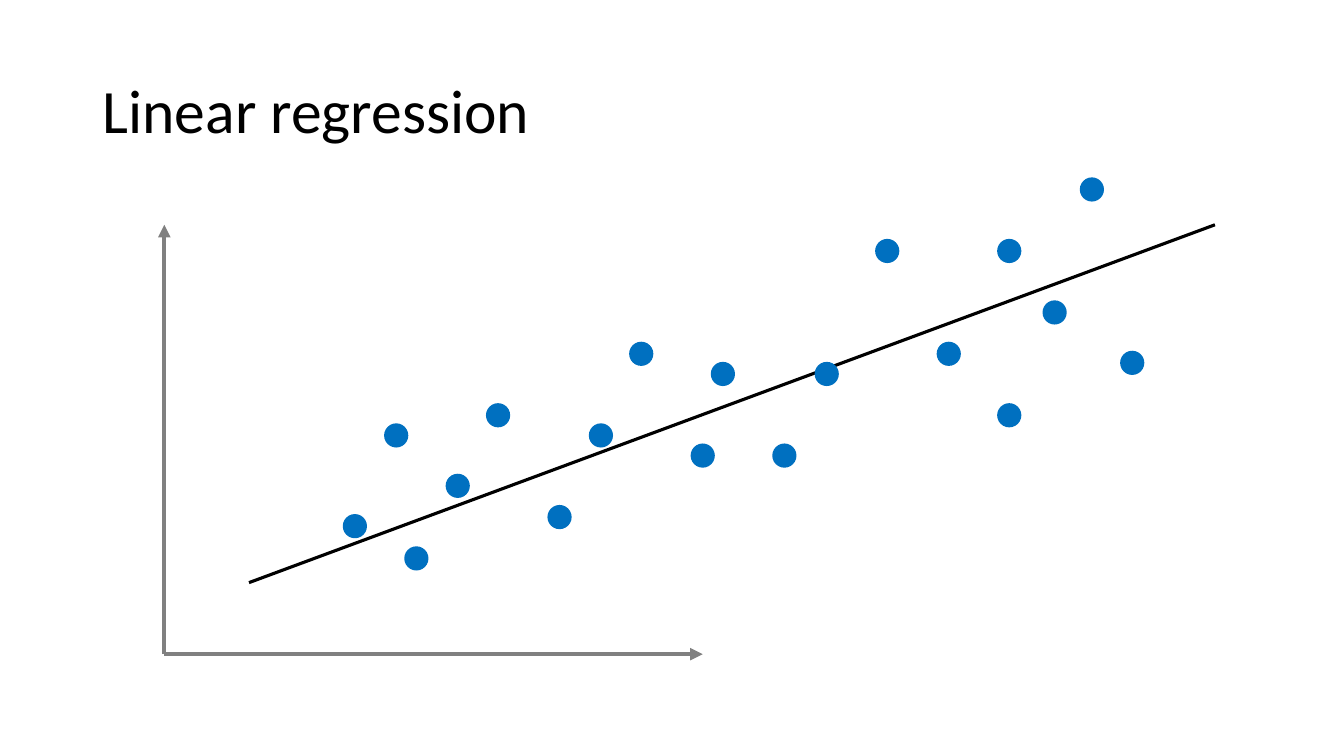
from lxml import etree
from pptx import Presentation
from pptx import util as u
from pptx.dml.color import RGBColor
from pptx.enum import shapes, text
from pptx.oxml.ns import qn

TITLE = "Linear regression"
TITLE_BOX = (0.92, 0.4, 11.5, 1.45)
FIT_LINE = ((2.47, 5.78), (12.05, 2.23))
ORIGIN = (1.63, 6.49)
AXIS_ENDS = [(6.97, 6.49), (1.63, 2.23)]
DOT_SIZE = 0.24
DOTS = [
    (3.4, 5.1), (3.81, 4.2), (8.08, 3.59), (9.89, 2.37), (4.82, 4),
    (9.29, 3.39), (9.89, 4), (10.34, 2.98), (8.68, 2.37), (6.85, 4.4),
    (7.05, 3.59), (6.24, 3.39), (4.01, 5.42), (4.42, 4.7), (5.43, 5.01),
    (7.66, 4.4), (11.11, 3.48), (5.84, 4.2), (10.71, 1.76),
]
BLACK, BLUE, GREY = "000000", "0070C0", "808080"


def color(value):
    return RGBColor.from_string(value)


def add_text(parent, content, box, size=18, font="Calibri", fill=BLACK, spacing=1.0):
    sp = parent.add_textbox(*map(u.Inches, box))
    tf = sp.text_frame
    tf.word_wrap = True
    tf.vertical_anchor = text.MSO_ANCHOR.MIDDLE
    p = tf.paragraphs[0]
    p.line_spacing = spacing
    r = p.add_run()
    r.text = content
    r.font.size = u.Pt(size)
    r.font.name = font
    r.font.color.rgb = color(fill)
    return sp


def add_line(parent, start, end, fill, width, arrow=False):
    ends = [u.Inches(v) for v in (*start, *end)]
    line = parent.add_connector(shapes.MSO_CONNECTOR.STRAIGHT, *ends)
    line.line.color.rgb = color(fill)
    line.line.width = u.Pt(width)
    if arrow:
        etree.SubElement(line.line._get_or_add_ln(), qn("a:tailEnd"), type="triangle")
    etree.SubElement(line._element.spPr, qn("a:effectLst"))
    return line


def add_dot(parent, left, top):
    sp = parent.add_shape(shapes.MSO_SHAPE.OVAL, u.Inches(left), u.Inches(top),
                          u.Inches(DOT_SIZE), u.Inches(DOT_SIZE))
    sp.shadow.inherit = False
    sp.fill.solid()
    sp.fill.fore_color.rgb = color(BLUE)
    sp.line.fill.background()
    return sp


def main():
    prs = Presentation()
    prs.slide_width, prs.slide_height = u.Inches(13.33), u.Inches(7.5)
    s = prs.slides.add_slide(prs.slide_layouts[6])
    add_text(s.shapes, TITLE, TITLE_BOX, size=44, spacing=0.9)
    add_line(s.shapes, *FIT_LINE, BLACK, 2.25)
    for left, top in DOTS:
        add_dot(s.shapes, left, top)
    axes = s.shapes.add_group_shape()
    for end in AXIS_ENDS:
        add_line(axes.shapes, ORIGIN, end, GREY, 3, arrow=True)
    prs.save("out.pptx")


if __name__ == "__main__":
    main()
